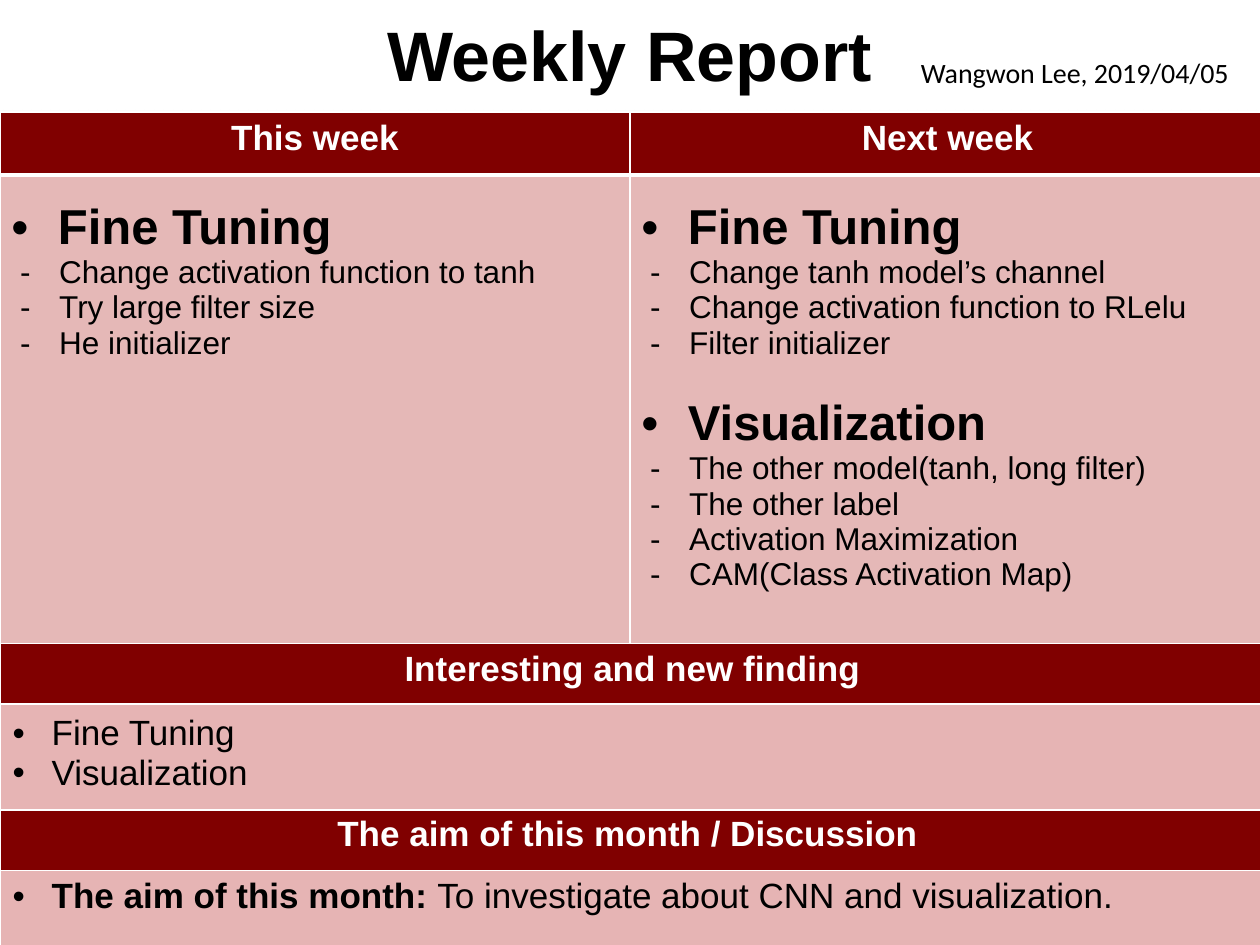
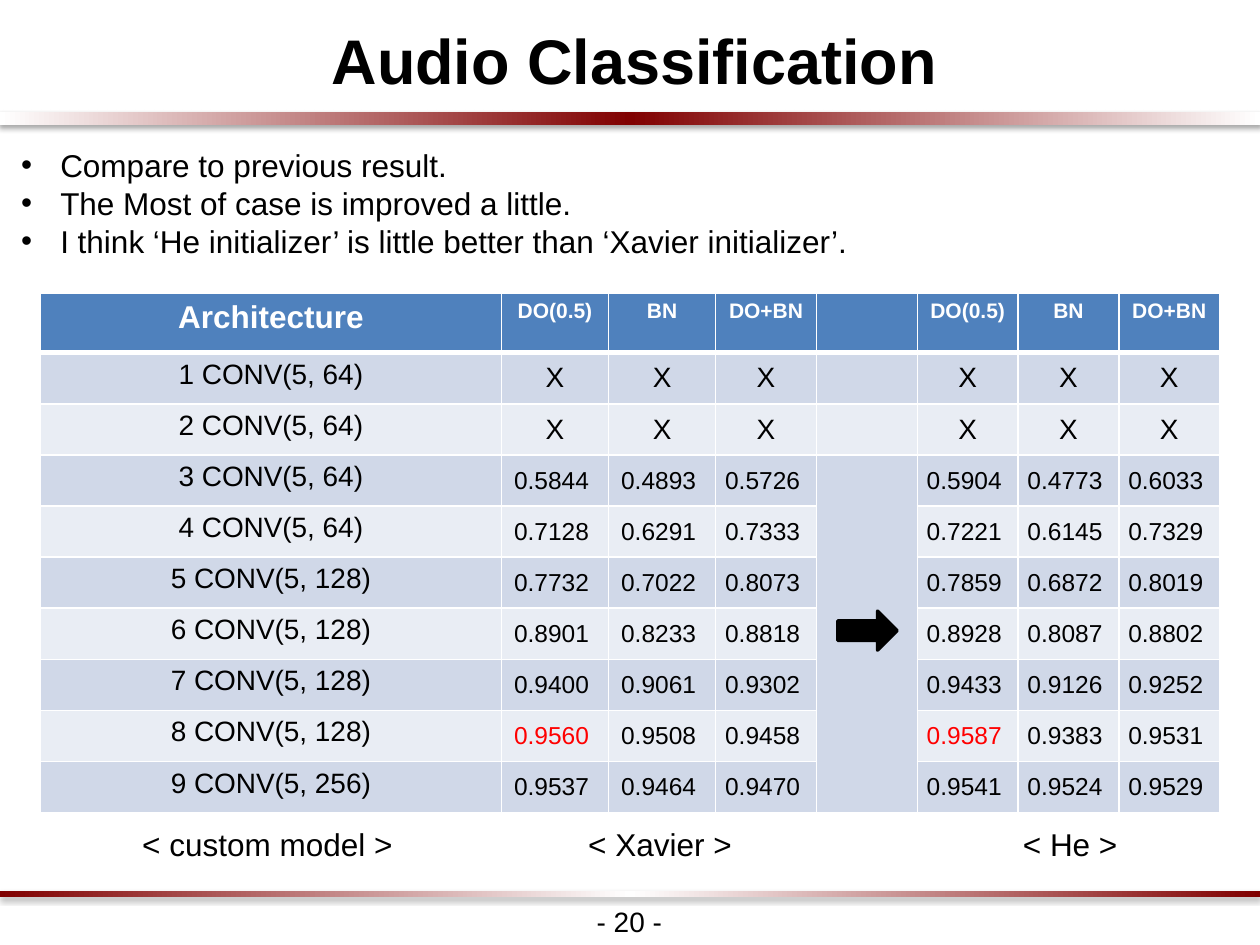
from dataclasses import dataclass

import lxml.etree
import pptx
import pptx.dml.color
import pptx.enum.shapes
import pptx.enum.text
import pptx.oxml.ns
import pptx.util

Inches = pptx.util.Inches
qn = pptx.oxml.ns.qn
SHAPES = pptx.enum.shapes.MSO_SHAPE
MIDDLE = pptx.enum.text.MSO_ANCHOR.MIDDLE
CENTER = pptx.enum.text.PP_ALIGN.CENTER


@dataclass(frozen=True)
class Theme:
    font: str = "Arial"
    byline_font: str = "Calibri"
    black: str = "000000"
    white: str = "FFFFFF"
    maroon: str = "800000"
    rose: str = "E5B8B7"
    pink: str = "E6B4B4"
    blue: str = "4F81BD"
    blue_bands: tuple = ("E9EDF4", "D0D8E8")
    red: str = "FF0000"
    report_title: int = 40
    title: int = 36
    topic: int = 28
    section: int = 20
    body: int = 18
    small: int = 16
    figure: int = 14
    column: int = 12


THEME = Theme()


@dataclass
class Line:
    """One paragraph; spans are (text, bold) pairs, lengths are inches."""
    spans: list
    size: int = THEME.body
    color: str = THEME.black
    font: str = THEME.font
    align: object = None
    bullet: str = ""
    left: float = 0
    hang: float = 0
    before: float = 0
    spacing: float = 0


def plain(text, **style):
    return Line([(text, False)], **style)


def strong(text, **style):
    return Line([(text, True)], **style)


def topic(text, before=0):
    return strong(text, size=THEME.topic, bullet="•", left=0.46, hang=0.37, before=before)


def dash(text):
    return plain(text, bullet="-", left=0.47, hang=0.31)


def bulleted(*spans, size=THEME.body):
    return Line(list(spans), size=size, bullet="•", left=0.31, hang=0.31)


def section(text):
    return strong(text, size=THEME.section, color=THEME.white, align=CENTER)


def add_node(parent, tag, **attributes):
    return lxml.etree.SubElement(parent, qn(tag), {k: str(v) for k, v in attributes.items()})


class Painter:
    """Holds the theme and the current slide."""

    def __init__(self, theme):
        self.theme = theme
        self.deck = pptx.Presentation()
        self.deck.slide_width = Inches(10)
        self.deck.slide_height = Inches(7.5)
        self.slide = None

    def start_slide(self):
        self.slide = self.deck.slides.add_slide(self.deck.slide_layouts[6])
        maroon, white = self.theme.maroon, self.theme.white
        self.band(0.89, 0.1, white, maroon)
        self.band(7.07, 0.05, maroon, white)

    def shape(self, kind, left, top, width, height):
        shape = self.slide.shapes.add_shape(
            kind, Inches(left), Inches(top), Inches(width), Inches(height))
        shape.shadow.inherit = False
        return shape

    def band(self, top, height, edge, middle):
        """Full-width bar, shaded from edge to middle and back, with a soft shadow."""
        bar = self.shape(SHAPES.RECTANGLE, 0, top, 10, height)
        bar.line.fill.background()
        bar.fill.gradient()
        bar.fill.gradient_angle = 0
        properties = bar.element.spPr
        stops = properties.find(qn("a:gradFill")).find(qn("a:gsLst"))
        for stop in list(stops):
            stops.remove(stop)
        for position, color in ((0, edge), (50000, middle), (100000, edge)):
            add_node(add_node(stops, "a:gs", pos=position), "a:srgbClr", val=color)
        effects = properties.find(qn("a:effectLst"))
        shadow = add_node(effects, "a:outerShdw", blurRad=pptx.util.Pt(3.1),
                          dist=pptx.util.Pt(1.8), dir=5400000, rotWithShape=0)
        add_node(add_node(shadow, "a:srgbClr", val=self.theme.black), "a:alpha", val=35000)

    def arrow(self, left, top, width, height):
        arrow = self.shape(SHAPES.RIGHT_ARROW, left, top, width, height)
        black = pptx.dml.color.RGBColor.from_string(self.theme.black)
        arrow.fill.solid()
        arrow.fill.fore_color.rgb = black
        arrow.line.color.rgb = black
        arrow.line.width = pptx.util.Pt(2)

    def set_margins(self, holder, side, end):
        """Set the margins of a text frame or a table cell."""
        holder.margin_left = holder.margin_right = Inches(side)
        holder.margin_top = holder.margin_bottom = Inches(end)

    def add_lines(self, frame, lines):
        for index, line in enumerate(lines):
            para = frame.add_paragraph() if index else frame.paragraphs[0]
            para.alignment = line.align
            if line.before:
                para.space_before = pptx.util.Pt(line.before)
            if line.spacing:
                para.line_spacing = line.spacing
            properties = para._p.get_or_add_pPr()
            properties.set("marL", str(Inches(line.left)))
            properties.set("indent", str(-Inches(line.hang)))
            if line.bullet:
                add_node(add_node(properties, "a:buClr"), "a:srgbClr", val=self.theme.black)
                add_node(properties, "a:buFont", typeface=self.theme.font)
                add_node(properties, "a:buChar", char=line.bullet)
            for text, bold in line.spans:
                span = para.add_run()
                span.text = text
                span.font.name = line.font
                span.font.size = pptx.util.Pt(line.size)
                span.font.bold = bold
                span.font.color.rgb = pptx.dml.color.RGBColor.from_string(line.color)

    def text(self, left, top, width, height, *lines, anchor=None, end=0.05, wrap=True):
        box = self.slide.shapes.add_textbox(
            Inches(left), Inches(top), Inches(width), Inches(height))
        frame = box.text_frame
        frame.word_wrap = wrap
        frame.vertical_anchor = anchor
        self.set_margins(frame, 0.1, end)
        self.add_lines(frame, lines)

    def table(self, left, top, columns, rows):
        """Add an unstyled table with the given column widths and row heights."""
        table = self.slide.shapes.add_table(
            len(rows), len(columns), Inches(left), Inches(top),
            Inches(sum(columns)), Inches(sum(rows))).table
        table.first_row = table.horz_banding = False
        for column, width in zip(table.columns, columns):
            column.width = Inches(width)
        for row, height in zip(table.rows, rows):
            row.height = Inches(height)
        return table

    def cell(self, table, row, column, fill, lines=(), side=0.1, end=0.05, anchor=None):
        """Fill a cell; the rule below the first row is thicker."""
        cell = table.cell(row, column)
        cell.fill.solid()
        cell.fill.fore_color.rgb = pptx.dml.color.RGBColor.from_string(fill)
        self.set_margins(cell, side, end)
        cell.vertical_anchor = anchor
        thick = {0: "a:lnB", 1: "a:lnT"}.get(row)
        properties = cell._tc.get_or_add_tcPr()
        for index, tag in enumerate(("a:lnL", "a:lnR", "a:lnT", "a:lnB")):
            edge = add_node(properties, tag, w=pptx.util.Pt(3 if tag == thick else 1))
            add_node(add_node(edge, "a:solidFill"), "a:srgbClr", val=self.theme.white)
            properties.insert(index, edge)
        self.add_lines(cell.text_frame, lines)


def weekly_report(painter):
    theme = painter.theme
    painter.start_slide()
    painter.text(0.01, 0.03, 9.97, 0.79, strong(
        "Weekly Report", size=theme.report_title, align=CENTER), anchor=MIDDLE)
    painter.text(7.21, 0.39, 2.82, 0.4, plain(
        "Wangwon Lee, 2019/04/05", size=theme.small, font=theme.byline_font))

    this_week = [
        topic("Fine Tuning"),
        dash("Change activation function to tanh"),
        dash("Try large filter size"),
        dash("He initializer"),
    ]
    next_week = [
        topic("Fine Tuning"),
        dash("Change tanh model’s channel"),
        dash("Change activation function to RLelu"),
        dash("Filter initializer"),
        topic("Visualization", before=20.5),
        dash("The other model(tanh, long filter)"),
        dash("The other label"),
        dash("Activation Maximization"),
        dash("CAM(Class Activation Map)"),
    ]
    findings = [bulleted((text, False), size=theme.section)
                for text in ("Fine Tuning", "Visualization")]
    aim = bulleted(("The aim of this month: ", True),
                   ("To investigate about CNN and visualization.", False), size=theme.section)

    report = painter.table(0, 0.89, [5, 5.04], [0.5, 3.44, 0.48, 0.84, 0.48, 0.88])
    weeks = (("This week", this_week), ("Next week", next_week))
    for column, (heading, lines) in enumerate(weeks):
        painter.cell(report, 0, column, theme.maroon, [section(heading)])
        painter.cell(report, 1, column, theme.rose, lines, side=0, end=0.2)
    wide_rows = (
        (theme.maroon, [section("Interesting and new finding")], 0.05),
        (theme.pink, findings, 0.08),
        (theme.maroon, [section("The aim of this month / Discussion ")], 0.04),
        (theme.pink, [aim], 0.05),
    )
    for row, (fill, lines, end) in enumerate(wide_rows, start=2):
        report.cell(row, 0).merge(report.cell(row, 1))
        painter.cell(report, row, 0, fill, lines, end=end)


HEADINGS = ["Architecture", "DO(0.5)", "BN", "DO+BN", "", "DO(0.5)", "BN", "DO+BN"]
RESULTS = [
    ("1 CONV(5, 64)", "X X X", "X X X"),
    ("2 CONV(5, 64)", "X X X", "X X X"),
    ("3 CONV(5, 64)", "0.5844 0.4893 0.5726", "0.5904 0.4773 0.6033"),
    ("4 CONV(5, 64)", "0.7128 0.6291 0.7333", "0.7221 0.6145 0.7329"),
    ("5 CONV(5, 128)", "0.7732 0.7022 0.8073", "0.7859 0.6872 0.8019"),
    ("6 CONV(5, 128)", "0.8901 0.8233 0.8818", "0.8928 0.8087 0.8802"),
    ("7 CONV(5, 128)", "0.9400 0.9061 0.9302", "0.9433 0.9126 0.9252"),
    ("8 CONV(5, 128)", "0.9560 0.9508 0.9458", "0.9587 0.9383 0.9531"),
    ("9 CONV(5, 256)", "0.9537 0.9464 0.9470", "0.9541 0.9524 0.9529"),
]
BEST = ("0.9560", "0.9587")
GAP_COLUMN = 4


def result_line(value, theme):
    if value == "X":
        return plain(value, size=theme.small, align=CENTER)
    color = theme.red if value in BEST else theme.black
    return plain(value + " ", size=theme.figure, color=color, align=CENTER)


def audio_classification(painter):
    theme = painter.theme
    painter.start_slide()
    painter.text(-0.23, 0.03, 10.45, 0.79, strong(
        "Audio Classification", size=theme.title, align=CENTER, left=0.08, spacing=1.15),
        anchor=MIDDLE, end=0.1)
    painter.text(0.07, 1.11, 9.42, 1.06, *[bulleted((text, False)) for text in (
        "Compare to previous result.",
        "The Most of case is improved a little.",
        "I think ‘He initializer’ is little better than ‘Xavier initializer’.")])

    row_height = (4.12 - 0.47) / len(RESULTS)
    scores = painter.table(0.32, 2.33, [3.66] + [0.85] * 2 + [0.8] * 5,
                           [0.47] + [row_height] * len(RESULTS))
    for column, heading in enumerate(HEADINGS):
        size = theme.column if column else theme.body
        lines = [strong(heading, size=size, color=theme.white, align=CENTER)] if heading else []
        painter.cell(scores, 0, column, theme.blue, lines)
    scores.cell(3, GAP_COLUMN).merge(scores.cell(len(RESULTS), GAP_COLUMN))
    for row, (model, xavier, he) in enumerate(RESULTS, start=1):
        fill = theme.blue_bands[row % 2]
        painter.cell(scores, row, 0, fill, [plain(model, size=theme.small, align=CENTER)])
        painter.cell(scores, row, GAP_COLUMN, fill)
        for first, values in ((1, xavier), (GAP_COLUMN + 1, he)):
            for column, value in enumerate(values.split(), start=first):
                painter.cell(scores, row, column, fill, [result_line(value, theme)],
                             side=0.01, end=0.01, anchor=MIDDLE)

    painter.text(3.83, 7.13, 2.33, 0.37, plain("- 20 -", size=theme.small, align=CENTER))
    for left, width, caption in ((4.57, 1.35, "< Xavier >"), (8.02, 0.96, "< He >"),
                                 (1.03, 2.21, "< custom model >")):
        painter.text(left, 6.5, width, 0.4, plain(caption), wrap=False)
    painter.arrow(6.65, 4.85, 0.47, 0.31)


def main():
    painter = Painter(THEME)
    weekly_report(painter)
    audio_classification(painter)
    painter.deck.save("out.pptx")


if __name__ == "__main__":
    main()
